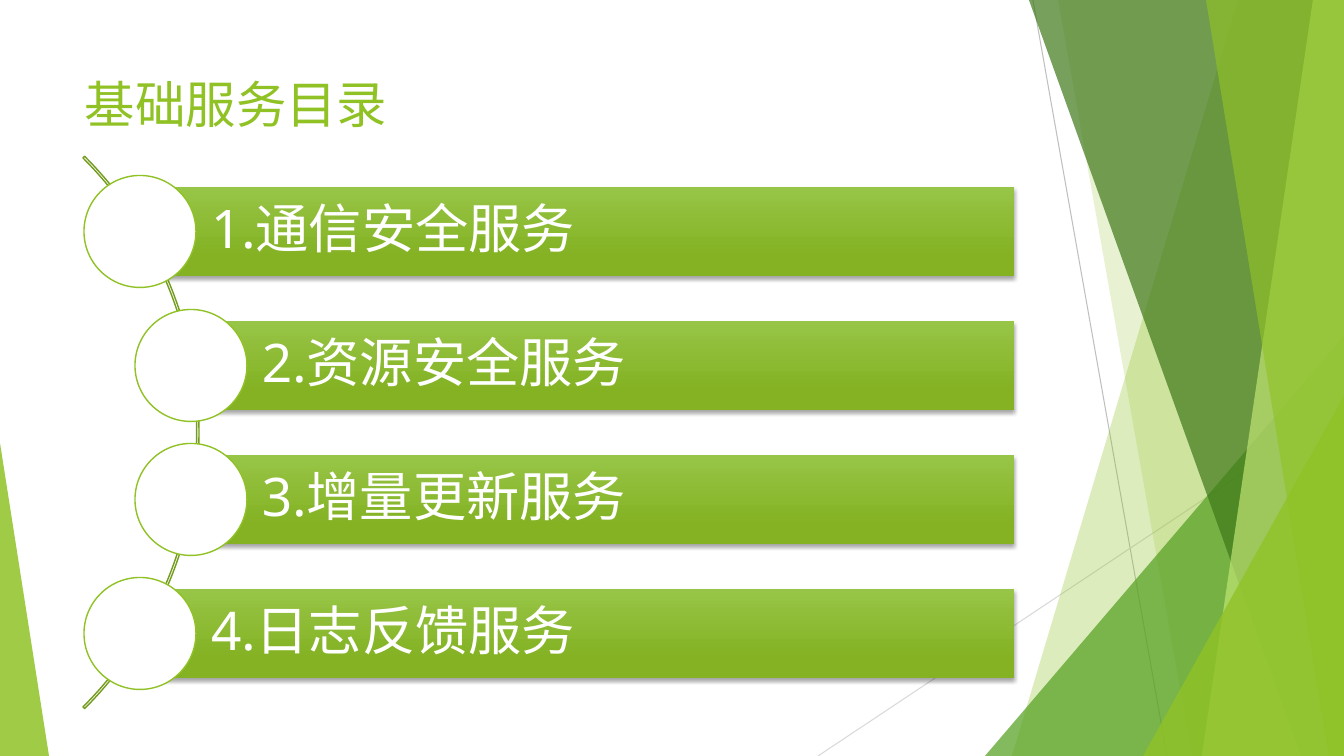
import pptx
import pptx.util
import pptx.dml.color
import pptx.enum.shapes
import pptx.enum.text
import pptx.oxml
import pptx.oxml.ns

PX = 914400 / 100.8
W, H = 1344, 756
FONT = "Noto Sans"
COLORS = {
    "green": "90C226", "leaf": "54A021", "dark": "3F7819", "lime": "C0E474",
    "arc": "739B1E", "bar_top": "97C547", "bar_bottom": "84B223",
    "white": "FFFFFF", "line1": "BFBFBF", "line2": "D9D9D9",
}
MSO = pptx.enum.shapes.MSO_SHAPE
NS = pptx.oxml.ns.nsdecls("a")


def px(*values):
    return [pptx.util.Emu(round(v * PX)) for v in values]


def paint(sp, fill=None, line=None, alpha=100):
    """Set a plain fill and a 1 pt outline; None means neither is drawn."""
    sp.shadow.inherit = False
    if fill:
        sp.fill.solid()
        sp.fill.fore_color.rgb = rgb[fill]
        if alpha < 100:
            clr = sp.fill._xPr.find(".//" + pptx.oxml.ns.qn("a:srgbClr"))
            clr.append(pptx.oxml.parse_xml(f'<a:alpha {NS} val="{alpha * 1000}"/>'))
    else:
        sp.fill.background()
    if line:
        sp.line.color.rgb = rgb[line]
        sp.line.width = pptx.util.Pt(1)
    else:
        sp.line.fill.background()


rgb = {k: pptx.dml.color.RGBColor.from_string(v) for k, v in COLORS.items()}
prs = pptx.Presentation()
prs.slide_width, prs.slide_height = px(W, H)
s = prs.slides.add_slide(prs.slide_layouts[6])

# Thin background lines
for ends, color in [((1033, 0, 1167, H), "line1"), ((W, 406, 818, H), "line2")]:
    c = s.shapes.add_connector(pptx.enum.shapes.MSO_CONNECTOR.STRAIGHT, *px(*ends))
    c.line.color.rgb = rgb[color]
    c.line.width = pptx.util.Pt(0.75)
    c._element.spPr.append(pptx.oxml.parse_xml(f"<a:effectLst {NS}/>"))

# Facets: bands give top and bottom x of the left edge, triangles give box and apex
facets = [
    ("band", (1238, 1012), "green", 30),
    ("band", (1058, 1192), "green", 20),
    ("triangle", (985, 336, 359, 420, 1), "leaf", 72),
    ("band", (1029, 1301), "dark", 70),
    ("band", (1313, 1202), "lime", 70),
    ("band", (1206, 1329), "green", 65),
    ("triangle", (1143, 396, 201, 360, 1), "green", 80),
    ("triangle", (0, 443, 49, 313, 0), "green", 85),
]
for kind, geometry, color, alpha in facets:
    if kind == "band":
        top, bottom = geometry
        fb = s.shapes.build_freeform(top, 0, scale=PX)
        fb.add_line_segments([(W, 0), (W, H), (bottom, H)], close=True)
        sp = fb.convert_to_shape()
    else:
        *box, apex = geometry
        sp = s.shapes.add_shape(MSO.ISOSCELES_TRIANGLE, *px(*box))
        sp.adjustments[0] = apex
    paint(sp, color, alpha=alpha)

# Title
tf = s.shapes.add_textbox(*px(75, 68, 948, 145)).text_frame
tf.word_wrap = True
p = tf.paragraphs[0]
p.text = "基础服务目录"
p.font.size, p.font.name = pptx.util.Pt(36), FONT
p.font.color.rgb = rgb["green"]

# Arc behind the list
sp = s.shapes.add_shape(MSO.BLOCK_ARC, *px(-582, 42, 781, 781))
for i, value in enumerate((189, 27, 0.003)):
    sp.adjustments[i] = value
paint(sp, line="arc")

# Service bars with their circles
SHADOW = (f'<a:effectLst {NS}><a:outerShdw blurRad="38100" dist="25400" dir="5400000" '
          'rotWithShape="0"><a:srgbClr val="000000"><a:alpha val="35000"/></a:srgbClr>'
          '</a:outerShdw></a:effectLst>')
BAR_RIGHT, BAR_H, PITCH, CIRCLE = 1014, 89, 134, 112
services = [("1.通信安全服务", 140), ("2.资源安全服务", 191),
            ("3.增量更新服务", 191), ("4.日志反馈服务", 140)]
for i, (label, left) in enumerate(services):
    top = 187 + i * PITCH
    sp = s.shapes.add_shape(MSO.RECTANGLE, *px(left, top, BAR_RIGHT - left, BAR_H))
    sp.line.fill.background()
    sp.fill.gradient()
    sp.fill.gradient_angle = 270
    for stop, position, color in zip(sp.fill.gradient_stops, (0, 0.78), ("bar_top", "bar_bottom")):
        stop.position = position
        stop.color.rgb = rgb[color]
    sp._element.spPr.append(pptx.oxml.parse_xml(SHADOW))

    tf = sp.text_frame
    tf.word_wrap = True
    tf.vertical_anchor = pptx.enum.text.MSO_ANCHOR.MIDDLE
    tf.margin_left, tf.margin_top, tf.margin_right, tf.margin_bottom = px(71, 11, 11, 11)
    p = tf.paragraphs[0]
    p.text = label
    p.alignment = pptx.enum.text.PP_ALIGN.LEFT
    p.line_spacing = 0.9
    p.font.size, p.font.name = pptx.util.Pt(38), FONT
    p.font.color.rgb = rgb["white"]

    sp = s.shapes.add_shape(MSO.OVAL, *px(left - CIRCLE / 2, top + (BAR_H - CIRCLE) / 2, CIRCLE, CIRCLE))
    paint(sp, "white", "green")

prs.save("out.pptx")
